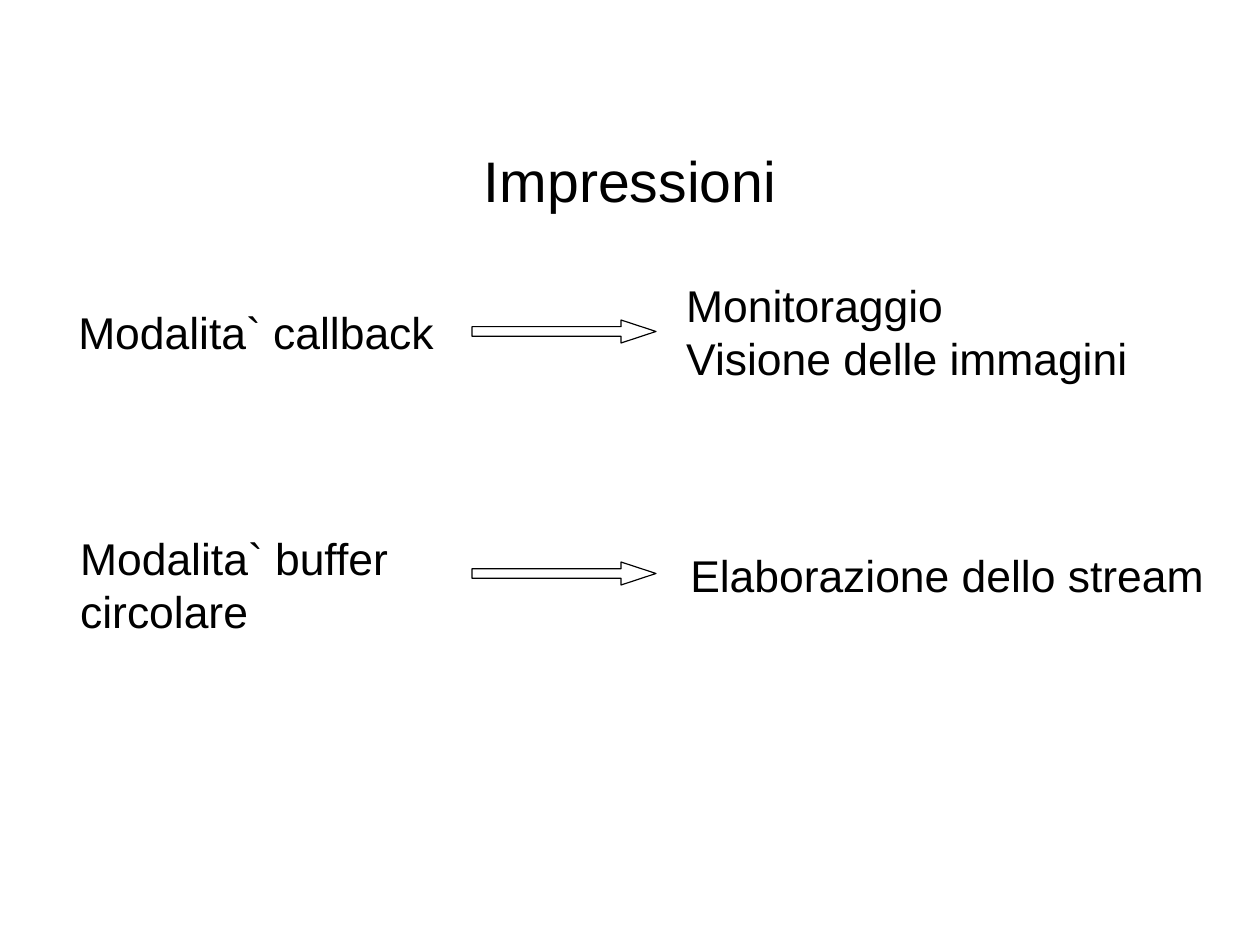
"""Build the "Impressioni" slide, linking each mode to its use."""
from pptx import Presentation
from pptx.dml.color import RGBColor
from pptx.enum.shapes import MSO_SHAPE as SHAPE
from pptx.enum.text import MSO_ANCHOR as ANCHOR, PP_ALIGN as ALIGN
from pptx.util import Pt

PX = 8000
COLORS = {"ink": "000000", "paper": "FFFFFF"}
LABELS = [
    (67, 299, 391, 61, ["Modalita` callback"]),
    (69, 525, 331, 111, ["Modalita` buffer", "circolare"]),
    (675, 272, 466, 111, ["Monitoraggio", "Visione delle immagini"]),
    (679, 542, 537, 61, ["Elaborazione dello stream"]),
]
ARROW_TOPS = [320, 562]


def box(*lengths):
    return [n * PX for n in lengths]


def set_text(tf, lines, size, align):
    tf.text = "\n".join(lines)
    for p in tf.paragraphs:
        p.alignment = align
        p.font.name = "Arial"
        p.font.size = Pt(size)
        p.font.color.rgb = RGBColor.from_string(COLORS["ink"])


prs = Presentation()
prs.slide_width, prs.slide_height = box(1260, 945)
s = prs.slides.add_slide(prs.slide_layouts[5])
s.background.fill.solid()
s.background.fill.fore_color.rgb = RGBColor.from_string(COLORS["paper"])

title = s.shapes.title
title.left, title.top, title.width, title.height = box(63, 118, 1134, 123)
tf = title.text_frame
tf.margin_left = tf.margin_right = tf.margin_top = tf.margin_bottom = 0
tf.vertical_anchor = ANCHOR.MIDDLE
set_text(tf, ["Impressioni"], 36, ALIGN.CENTER)

for x, y, w, h, lines in LABELS:
    tf = s.shapes.add_textbox(*box(x, y, w, h)).text_frame
    tf.word_wrap = False
    set_text(tf, lines, 28, ALIGN.LEFT)

for top in ARROW_TOPS:
    sp = s.shapes.add_shape(SHAPE.RIGHT_ARROW, *box(472, top, 184, 23))
    sp.adjustments[0] = 0.42
    sp.adjustments[1] = 1.52
    sp.shadow.inherit = False
    sp.fill.solid()
    sp.fill.fore_color.rgb = RGBColor.from_string(COLORS["paper"])
    sp.line.color.rgb = RGBColor.from_string(COLORS["ink"])
    sp.line.width = Pt(0)

prs.save("out.pptx")
